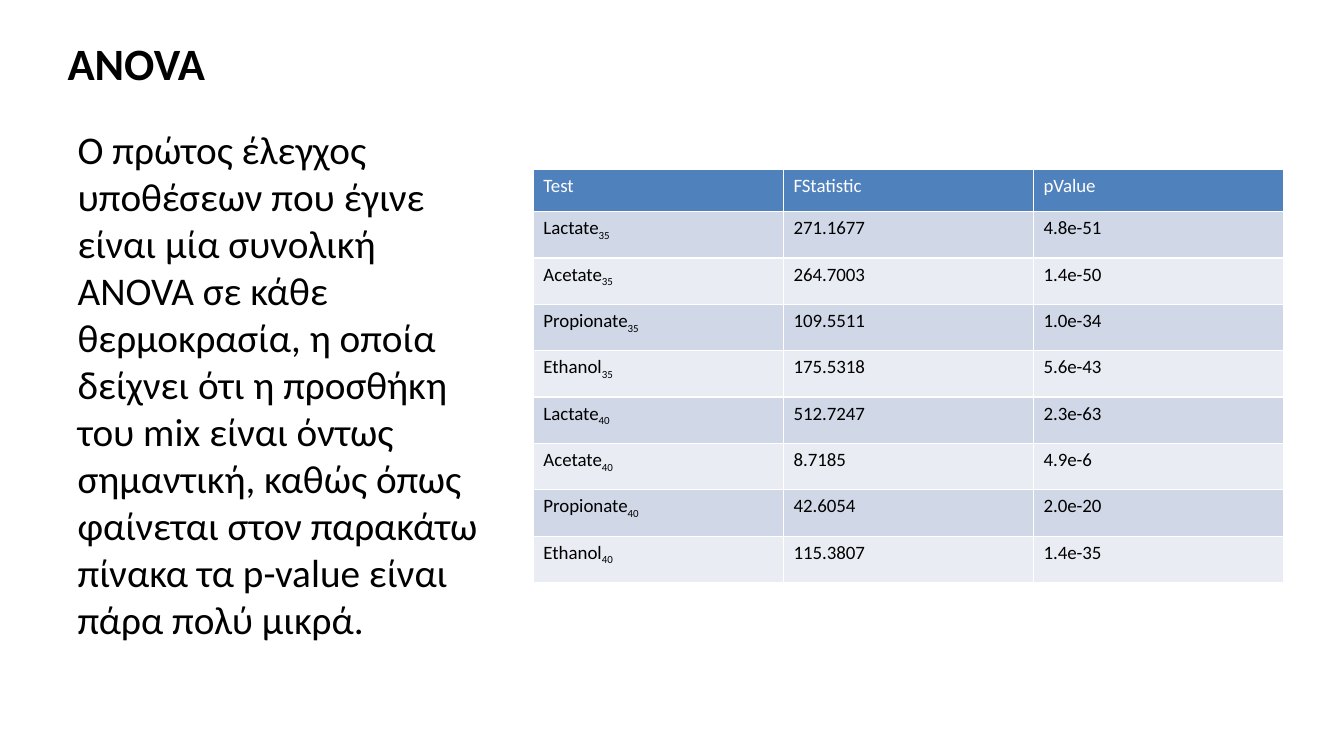
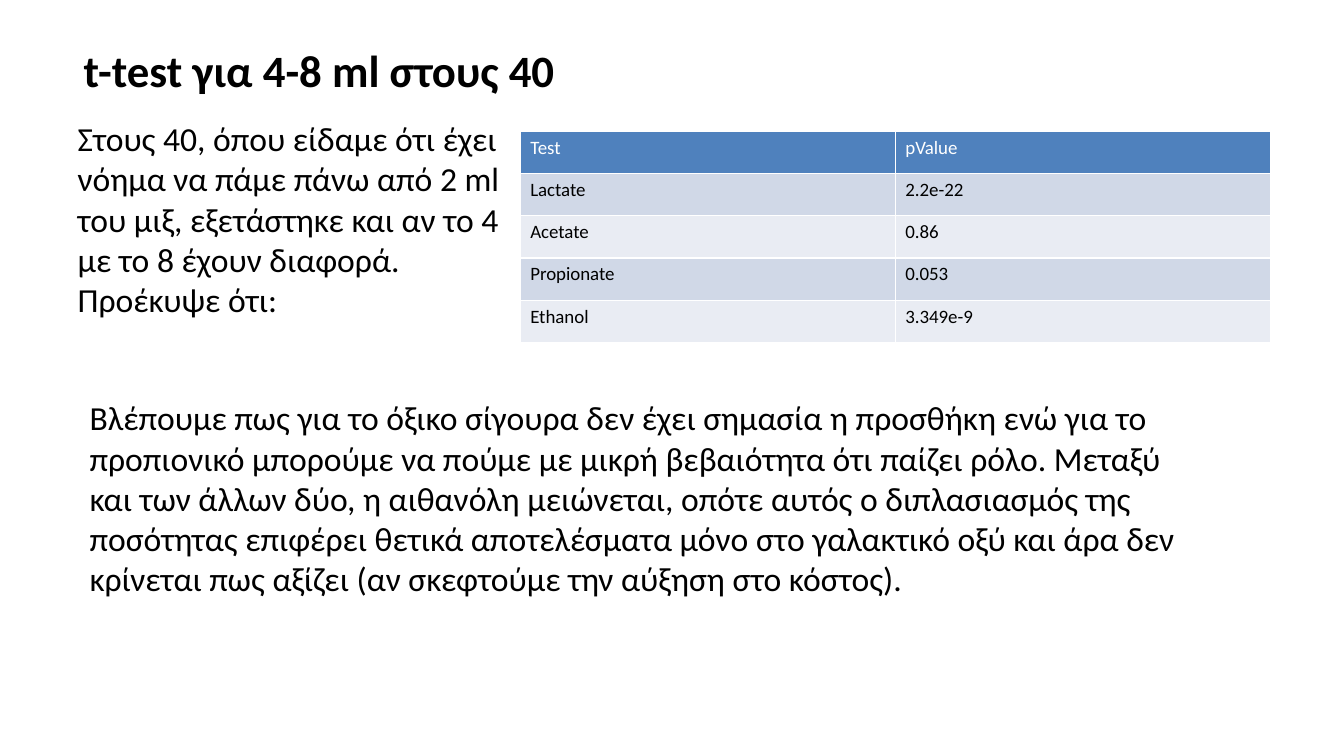
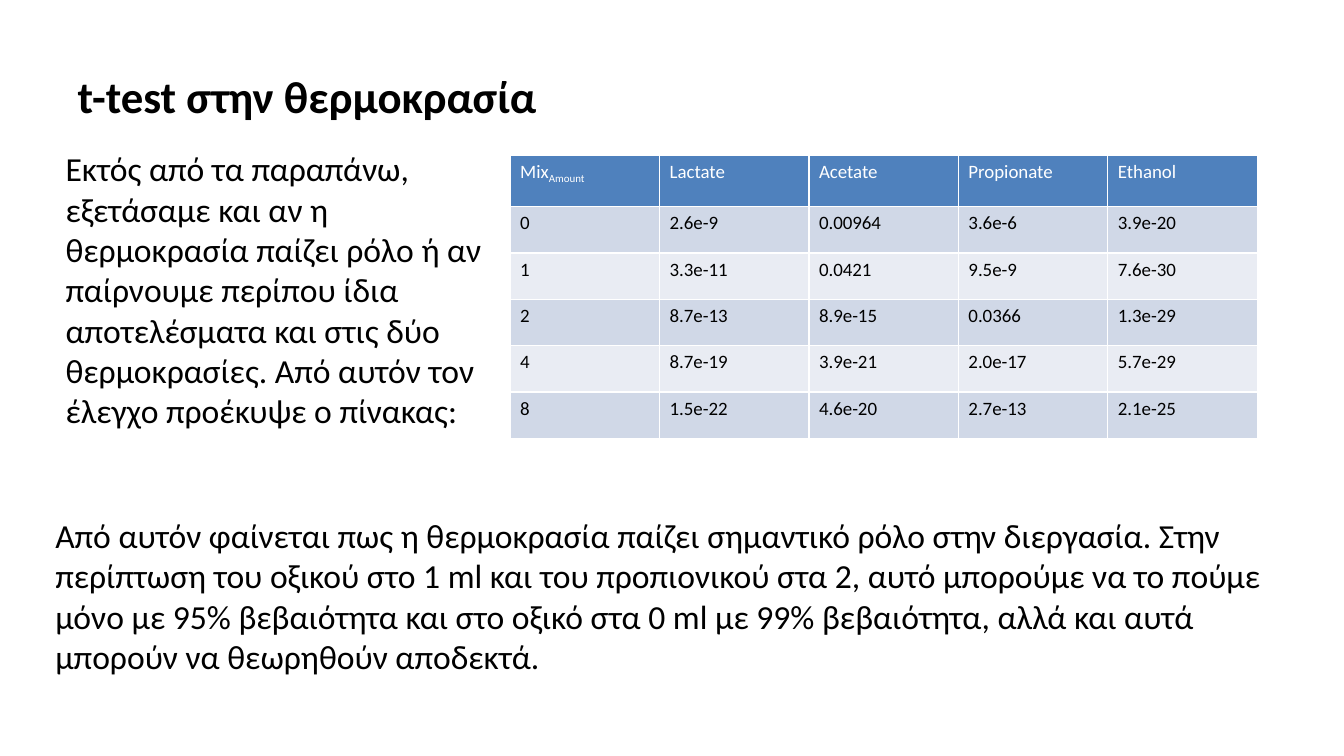
"""Build three slides of ANOVA and t-test results, each with a text and a table."""
from lxml import etree
from pptx import Presentation
from pptx import util as u
from pptx.dml import color
from pptx.enum import text as t
from pptx.oxml import ns

FONT = "Calibri"
BLACK, WHITE, HEAD = "000000", "FFFFFF", "4F81BD"
BANDS = ["E9ECF3", "D0D8E7"]


def rgb(code):
    return color.RGBColor.from_string(code)


def put(frame, words, size=24, bold=False, hue=BLACK, gap=0, anchor=t.MSO_ANCHOR.TOP):
    frame.word_wrap = True
    frame.vertical_anchor = anchor
    par = frame.paragraphs[0]
    par.alignment = t.PP_ALIGN.LEFT
    par.space_before = u.Pt(gap)
    for low, part in enumerate(words.split("_")):
        run = par.add_run()
        run.text = part
        font = run.font
        font.name, font.size, font.bold = FONT, u.Pt(size), bold
        font.color.rgb = rgb(hue)
        if low:
            font._element.set("baseline", "-25000")


pages = [
    {
        "title": ("ANOVA", (0.57, 0.56, 4.39, 0.38)),
        "body": ("Ο πρώτος έλεγχος υποθέσεων που έγινε είναι μία συνολική ANOVA σε κάθε "
                 "θερμοκρασία, η οποία δείχνει ότι η προσθήκη του mix είναι όντως σημαντική, "
                 "καθώς όπως φαίνεται στον παρακάτω πίνακα τα p-value είναι πάρα πολύ μικρά.",
                 (0.67, 1.19, 4.39, 5.13), 28),
        "table": (5.29, 1.68, 7.44),
        "tall": (0.42, 0.46),
        "rows": ["Test FStatistic pValue",
                 "Lactate_35 271.1677 4.8e-51",
                 "Acetate_35 264.7003 1.4e-50",
                 "Propionate_35 109.5511 1.0e-34",
                 "Ethanol_35 175.5318 5.6e-43",
                 "Lactate_40 512.7247 2.3e-63",
                 "Acetate_40 8.7185 4.9e-6",
                 "Propionate_40 42.6054 2.0e-20",
                 "Ethanol_40 115.3807 1.4e-35"],
    },
    {
        "title": ("t-test για 4-8 ml στους 40", (0.73, 0.09, 9.44, 0.92)),
        "body": ("Στους 40, όπου είδαμε ότι έχει νόημα να πάμε πάνω από 2 ml του μιξ, "
                 "εξετάστηκε και αν το 4 με το 8 έχουν διαφορά. Προέκυψε ότι:",
                 (0.67, 1.12, 4.39, 2.56), 24),
        "table": (5.16, 1.3, 7.44),
        "tall": (0.42, 0.42),
        "rows": ["Test pValue",
                 "Lactate 2.2e-22",
                 "Acetate 0.86",
                 "Propionate 0.053",
                 "Ethanol 3.349e-9"],
        "note": ("Βλέπουμε πως για το όξικο σίγουρα δεν έχει σημασία η προσθήκη ενώ για το "
                 "προπιονικό μπορούμε να πούμε με μικρή βεβαιότητα ότι παίζει ρόλο. Μεταξύ και "
                 "των άλλων δύο, η αιθανόλη μειώνεται, οπότε αυτός ο διπλασιασμός της ποσότητας "
                 "επιφέρει θετικά αποτελέσματα μόνο στο γαλακτικό οξύ και άρα δεν κρίνεται πως "
                 "αξίζει (αν σκεφτούμε την αύξηση στο κόστος).",
                 (0.79, 3.89, 11.13, 3.31), 4.8),
    },
    {
        "title": ("t-test στην θερμοκρασία", (0.67, 0.47, 9.9, 0.8)),
        "body": ("Εκτός από τα παραπάνω, εξετάσαμε και αν η θερμοκρασία παίζει ρόλο ή αν "
                 "παίρνουμε περίπου ίδια αποτελέσματα και στις δύο θερμοκρασίες. Από αυτόν τον "
                 "έλεγχο προέκυψε ο πίνακας:",
                 (0.55, 1.42, 4.39, 3.35), 24),
        "table": (5.06, 1.54, 7.41),
        "tall": (0.51, 0.46),
        "rows": ["Mix_Amount Lactate Acetate Propionate Ethanol",
                 "0 2.6e-9 0.00964 3.6e-6 3.9e-20",
                 "1 3.3e-11 0.0421 9.5e-9 7.6e-30",
                 "2 8.7e-13 8.9e-15 0.0366 1.3e-29",
                 "4 8.7e-19 3.9e-21 2.0e-17 5.7e-29",
                 "8 1.5e-22 4.6e-20 2.7e-13 2.1e-25"],
        "note": ("Από αυτόν φαίνεται πως η θερμοκρασία παίζει σημαντικό ρόλο στην διεργασία. "
                 "Στην περίπτωση του οξικού στο 1 ml και του προπιονικού στα 2, αυτό μπορούμε "
                 "να το πούμε μόνο με 95% βεβαιότητα και στο οξικό στα 0 ml με 99% βεβαιότητα, "
                 "αλλά και αυτά μπορούν να θεωρηθούν αποδεκτά.",
                 (0.45, 5.06, 12.43, 1.65), 0),
    },
]

deck = Presentation()
deck.slide_width, deck.slide_height = u.Inches(13.33), u.Inches(7.5)
layout = deck.slide_layouts.get_by_name("Content with Caption")

for page in pages:
    slide = deck.slides.add_slide(layout)
    title, spare, body = slide.placeholders
    spare.element.getparent().remove(spare.element)

    words, box = page["title"]
    title.left, title.top, title.width, title.height = map(u.Inches, box)
    title.text_frame.auto_size = t.MSO_AUTO_SIZE.NONE
    put(title.text_frame, words, size=32, bold=True, anchor=t.MSO_ANCHOR.BOTTOM)

    words, box, size = page["body"]
    body.left, body.top, body.width, body.height = map(u.Inches, box)
    body.text_frame.auto_size = t.MSO_AUTO_SIZE.NONE
    put(body.text_frame, words, size=size, gap=2.1)

    rows = [line.split() for line in page["rows"]]
    left, top, width = map(u.Inches, page["table"])
    first, rest = map(u.Inches, page["tall"])
    high = first + rest * (len(rows) - 1)
    table = slide.shapes.add_table(len(rows), len(rows[0]), left, top, width, high).table
    for r, row in enumerate(rows):
        table.rows[r].height = rest if r else first
        for c, words in enumerate(row):
            cell = table.cell(r, c)
            put(cell.text_frame, words, size=13.5, hue=BLACK if r else WHITE)
            props = cell._tc.get_or_add_tcPr()
            for side in ("a:lnL", "a:lnR", "a:lnT", "a:lnB"):
                edge = etree.SubElement(props, ns.qn(side), w=str(u.Pt(0.96)))
                fill = etree.SubElement(edge, ns.qn("a:solidFill"))
                etree.SubElement(fill, ns.qn("a:srgbClr"), val=WHITE)
            cell.fill.solid()
            cell.fill.fore_color.rgb = rgb(BANDS[r % 2] if r else HEAD)

    if "note" in page:
        words, box, gap = page["note"]
        note = slide.shapes.add_textbox(*map(u.Inches, box))
        put(note.text_frame, words, gap=gap)

deck.save("out.pptx")
